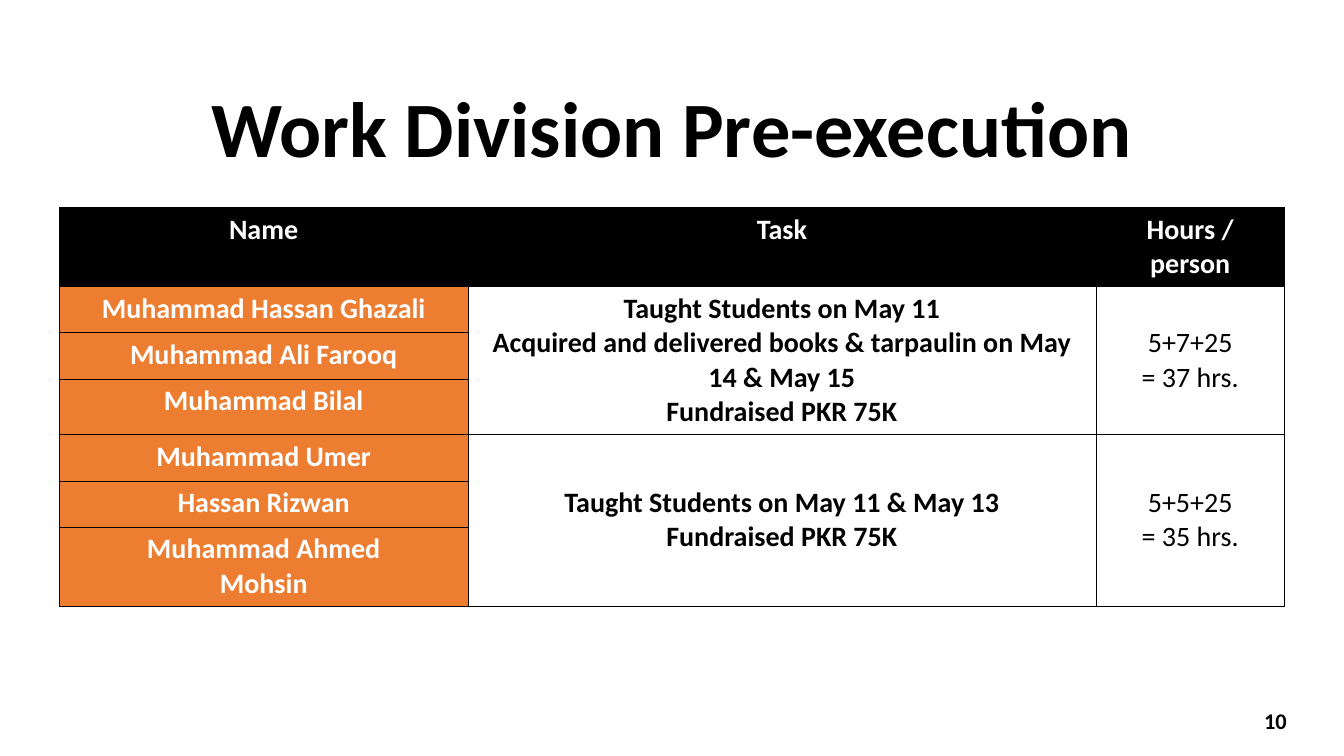
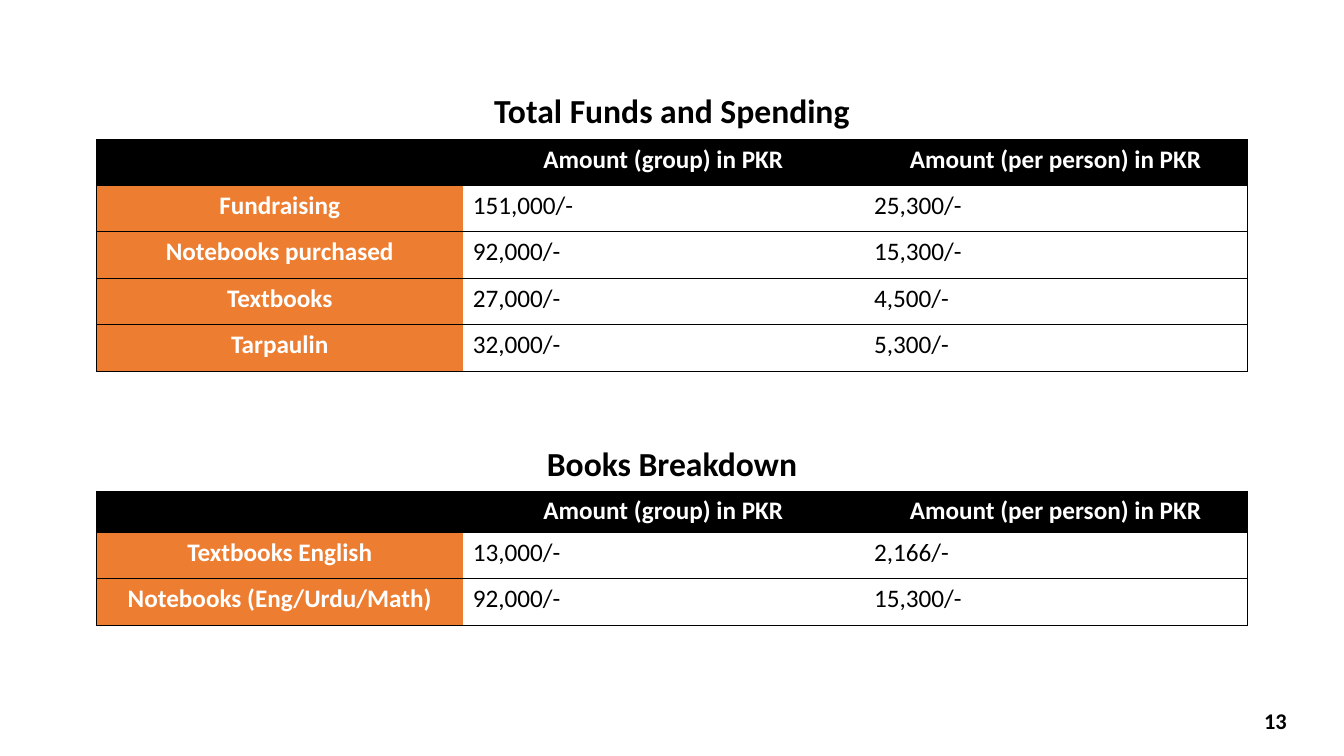
from dataclasses import dataclass

from lxml import etree
from pptx import Presentation
from pptx.dml.color import RGBColor
from pptx.enum.text import MSO_ANCHOR as Anchor, PP_ALIGN as Align
from pptx.oxml.ns import qn
from pptx.slide import Slide
from pptx.table import Table, _Cell as Cell
from pptx.text.text import TextFrame
from pptx.util import Inches, Pt


@dataclass(frozen=True)
class Theme:
    font: str = "Calibri"
    black: RGBColor = RGBColor(0x00, 0x00, 0x00)
    white: RGBColor = RGBColor(0xFF, 0xFF, 0xFF)
    orange: RGBColor = RGBColor(0xED, 0x7D, 0x31)
    title: int = 56
    heading: int = 24
    division: int = 20
    funds: int = 18
    page_number: int = 16
    rule: float = 0.5
    group_rule: float = 1


@dataclass(frozen=True)
class Box:
    left: float
    top: float
    width: float
    height: float

    def emu(self) -> tuple[int, int, int, int]:
        return tuple(Inches(n) for n in (self.left, self.top, self.width, self.height))


@dataclass(frozen=True)
class Grid:
    """A table with a header row and a label column; a None cell joins the one above."""
    left: float
    top: float
    columns: tuple[float, ...]
    heights: tuple[float, ...]
    rows: tuple[tuple[str | None, ...], ...]
    size: int
    column_rules: bool


@dataclass(frozen=True)
class FundsSection:
    heading: str
    heading_top: float
    grid: Grid


THEME = Theme()
FUNDS_LEFT = 0.96
FUNDS_COLUMNS = (3.63, 3.98, 3.8)
FUNDS_HEADER = ("", "Amount (group) in PKR", "Amount (per person) in PKR")

WORK_DIVISION = Grid(
    0.59, 2.06, (4.05, 6.23, 1.87), (0.77, 0.46, 0.46, 0.55, 0.46, 0.46, 0.78),
    (
        ("Name", "Task", "Hours / person"),
        ("Muhammad Hassan Ghazali",
         "Taught Students on May 11\n"
         "Acquired and delivered books & tarpaulin on May 14 & May 15\n"
         "Fundraised PKR 75K",
         "5+7+25\n= 37 hrs."),
        ("Muhammad Ali Farooq", None, None),
        ("Muhammad Bilal", None, None),
        ("Muhammad Umer",
         "Taught Students on May 11 & May 13\nFundraised PKR 75K",
         "5+5+25\n= 35 hrs."),
        ("Hassan Rizwan", None, None),
        ("Muhammad Ahmed\vMohsin", None, None),
    ),
    THEME.division, column_rules=True)

FUNDS_SECTIONS = (
    FundsSection("Total Funds and Spending", 0.84, Grid(
        FUNDS_LEFT, 1.38, FUNDS_COLUMNS, (0.46,) * 5,
        (
            FUNDS_HEADER,
            ("Fundraising", "151,000/-", "25,300/-"),
            ("Notebooks purchased", "92,000/-", "15,300/-"),
            ("Textbooks", "27,000/-", "4,500/-"),
            ("Tarpaulin", "32,000/-", "5,300/-"),
        ),
        THEME.funds, column_rules=False)),
    FundsSection("Books Breakdown", 4.34, Grid(
        FUNDS_LEFT, 4.87, FUNDS_COLUMNS, (0.41, 0.46, 0.46),
        (
            FUNDS_HEADER,
            ("Textbooks English", "13,000/-", "2,166/-"),
            ("Notebooks (Eng/Urdu/Math)", "92,000/-", "15,300/-"),
        ),
        THEME.funds, column_rules=False)),
)


def write(frame: TextFrame, text: str, size: int, align: Align,
          color: RGBColor = THEME.black, bold: bool = True) -> None:
    frame.text = text
    frame.word_wrap = True
    for paragraph in frame.paragraphs:
        paragraph.alignment = align
        font = paragraph.font
        font.name, font.size, font.bold = THEME.font, Pt(size), bold
        font.color.rgb = color


def add_label(slide: Slide, box: Box, text: str, size: int, align: Align,
              anchor: Anchor = Anchor.TOP) -> None:
    frame = slide.shapes.add_textbox(*box.emu()).text_frame
    frame.vertical_anchor = anchor
    write(frame, text, size, align)


def add_page_number(slide: Slide, number: int) -> None:
    add_label(slide, Box(9.86, 6.95, 3, 0.4), str(number), THEME.page_number,
              Align.RIGHT, Anchor.MIDDLE)


def set_title(slide: Slide, text: str) -> None:
    title = slide.shapes.title
    title.left, title.top, title.width, title.height = Box(0.59, 0.68, 12.15, 1.26).emu()
    title.text_frame.vertical_anchor = Anchor.MIDDLE
    write(title.text_frame, text, THEME.title, Align.CENTER)
    title.text_frame.paragraphs[0].line_spacing = 0.9


def set_edge(cell: Cell, side: str, width: float) -> None:
    """Rule one side (L, R, T or B) of a cell; a zero width leaves it open."""
    properties = cell._tc.get_or_add_tcPr()
    line = etree.SubElement(properties, qn(f"a:ln{side}"), w=str(Pt(width)))
    if width:
        fill = etree.SubElement(line, qn("a:solidFill"))
        etree.SubElement(fill, qn("a:srgbClr"), val=str(THEME.black))
    else:
        etree.SubElement(line, qn("a:noFill"))


def rule_cell(cell: Cell, grid: Grid, row: int, column: int) -> None:
    last_column = len(grid.columns) - 1
    last_row = len(grid.rows) - 1
    left = THEME.rule if grid.column_rules or column == 0 else 0
    right = THEME.rule if grid.column_rules or column == last_column else 0
    top = bottom = 0 if cell.is_spanned else THEME.rule
    if cell.is_merge_origin:
        top = THEME.group_rule if row > 1 else THEME.rule
        ends_table = row + cell.span_height > last_row
        bottom = THEME.rule if ends_table else THEME.group_rule
    for side, width in zip("LRTB", (left, right, top, bottom)):
        set_edge(cell, side, width)


def merge_groups(table: Table, grid: Grid) -> None:
    for column in range(len(grid.columns)):
        starts = [r for r, texts in enumerate(grid.rows) if texts[column] is not None]
        for start, following in zip(starts, starts[1:] + [len(grid.rows)]):
            if following - start > 1:
                table.cell(start, column).merge(table.cell(following - 1, column))


def fill_cell(cell: Cell, grid: Grid, row: int, column: int) -> None:
    text = grid.rows[row][column]
    is_label = row == 0 or column == 0
    if is_label:
        cell.fill.solid()
        cell.fill.fore_color.rgb = THEME.black if row == 0 else THEME.orange
    else:
        cell.fill.background()
    if text is None:
        return
    grouped = cell.is_merge_origin
    is_task = grouped and column == 1
    cell.vertical_anchor = Anchor.MIDDLE if grouped else Anchor.TOP
    write(cell.text_frame, text, grid.size,
          Align.CENTER if is_label or grouped else Align.LEFT,
          THEME.white if is_label else THEME.black, bold=is_label or is_task)


def add_grid(slide: Slide, grid: Grid) -> None:
    box = Box(grid.left, grid.top, sum(grid.columns), sum(grid.heights))
    table = slide.shapes.add_table(len(grid.rows), len(grid.columns), *box.emu()).table
    table.first_row = table.horz_banding = False
    for column, width in zip(table.columns, grid.columns):
        column.width = Inches(width)
    for row, height in zip(table.rows, grid.heights):
        row.height = Inches(height)
    merge_groups(table, grid)
    for r in range(len(grid.rows)):
        for c in range(len(grid.columns)):
            cell = table.cell(r, c)
            rule_cell(cell, grid, r, c)
            fill_cell(cell, grid, r, c)


def main() -> None:
    deck = Presentation()
    deck.slide_width, deck.slide_height = Inches(13.33), Inches(7.5)
    title_only = deck.slide_layouts.get_by_name("Title Only")
    blank = deck.slide_layouts.get_by_name("Blank")

    division = deck.slides.add_slide(title_only)
    set_title(division, "Work Division Pre-execution")
    add_grid(division, WORK_DIVISION)
    add_page_number(division, 10)

    funds = deck.slides.add_slide(blank)
    for section in FUNDS_SECTIONS:
        heading_box = Box(FUNDS_LEFT, section.heading_top, sum(FUNDS_COLUMNS), 0.5)
        add_label(funds, heading_box, section.heading, THEME.heading, Align.CENTER)
        add_grid(funds, section.grid)
    add_page_number(funds, 13)

    deck.save("out.pptx")


if __name__ == "__main__":
    main()
